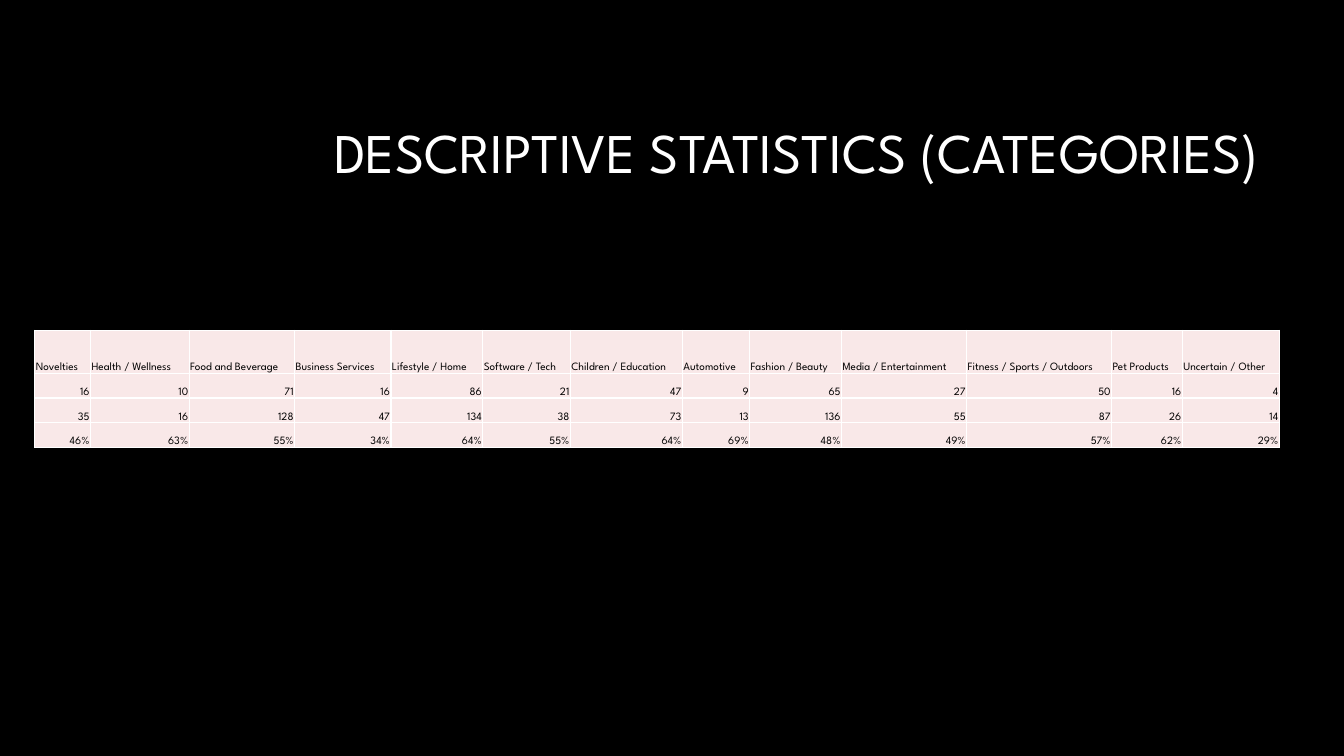
import pptx
import pptx.dml.color
import pptx.enum.text
import pptx.oxml
import pptx.oxml.ns
import pptx.util

Pt = pptx.util.Pt
Align = pptx.enum.text.PP_ALIGN
Anchor = pptx.enum.text.MSO_ANCHOR

TITLE = "DESCRIPTIVE STATISTICS (CATEGORIES)"
CATEGORIES = [
    ("Novelties", "16", "35", "46%", 39.8),
    ("Health / Wellness", "10", "16", "63%", 70.5),
    ("Food and Beverage", "71", "128", "55%", 75.3),
    ("Business Services", "16", "47", "34%", 68.8),
    ("Lifestyle / Home", "86", "134", "64%", 65.6),
    ("Software / Tech", "21", "38", "55%", 62.6),
    ("Children / Education", "47", "73", "64%", 80),
    ("Automotive", "9", "13", "69%", 48.1),
    ("Fashion / Beauty", "65", "136", "48%", 65.6),
    ("Media / Entertainment", "27", "55", "49%", 89.4),
    ("Fitness / Sports / Outdoors", "50", "87", "57%", 103.6),
    ("Pet Products", "16", "26", "62%", 50.5),
    ("Uncertain / Other", "4", "14", "29%", 69.2),
]
ROW_HEIGHTS = [30.7, 17.6, 17.6, 17.6]
TITLE_BOX = (228.2, 60.5, 678.2, 101.5)
TABLE_LEFT, TABLE_TOP = 24.9, 236

THEME = {
    "font": "League Spartan",
    "title_size": 40,
    "cell_size": 8,
    "background": "000000",
    "title": "FFFFFF",
    "cell_text": "000000",
    "cell_fill": "F9E8E8",
    "border": "FFFFFF",
}
CELL_FORMAT = {
    "vertical_anchor": Anchor.BOTTOM,
    "margin_left": Pt(0.7),
    "margin_right": Pt(0.7),
    "margin_top": Pt(0.7),
    "margin_bottom": Pt(0),
}
TITLE_FORMAT = {
    "word_wrap": True,
    "auto_size": pptx.enum.text.MSO_AUTO_SIZE.NONE,
    "vertical_anchor": Anchor.MIDDLE,
}


def apply_format(target, values):
    for name, value in values.items():
        setattr(target, name, value)


def paint(fill, role):
    fill.solid()
    fill.fore_color.rgb = pptx.dml.color.RGBColor.from_string(THEME[role])


def write(paragraph, text, size, role, alignment):
    paragraph.alignment = alignment
    run = paragraph.add_run()
    run.text = text
    apply_format(run.font, {"name": THEME["font"], "size": Pt(THEME[size]), "bold": False})
    paint(run.font.fill, role)


def add_borders(cell):
    properties = cell._tc.get_or_add_tcPr()
    for position, side in enumerate(("lnL", "lnR", "lnT", "lnB")):
        border = pptx.oxml.parse_xml(
            f'<a:{side} {pptx.oxml.ns.nsdecls("a")} w="{Pt(1)}"><a:solidFill>'
            f'<a:srgbClr val="{THEME["border"]}"/></a:solidFill></a:{side}>'
        )
        properties.insert(position, border)


def add_title(slide):
    title = slide.shapes.title
    left, top, width, height = map(Pt, TITLE_BOX)
    apply_format(title, {"left": left, "top": top, "width": width, "height": height})
    apply_format(title.text_frame, TITLE_FORMAT)
    paragraph = title.text_frame.paragraphs[0]
    paragraph.line_spacing = 0.9
    write(paragraph, TITLE, "title_size", "title", Align.RIGHT)


def add_category_table(slide):
    widths = [category[-1] for category in CATEGORIES]
    table = slide.shapes.add_table(
        len(ROW_HEIGHTS), len(CATEGORIES),
        Pt(TABLE_LEFT), Pt(TABLE_TOP), Pt(sum(widths)), Pt(sum(ROW_HEIGHTS)),
    ).table
    apply_format(table, {"first_row": False, "horz_banding": False})
    for row, height in zip(table.rows, ROW_HEIGHTS):
        row.height = Pt(height)
    for column_index, (*texts, width) in enumerate(CATEGORIES):
        table.columns[column_index].width = Pt(width)
        for row_index, text in enumerate(texts):
            cell = table.cell(row_index, column_index)
            apply_format(cell, CELL_FORMAT)
            paint(cell.fill, "cell_fill")
            add_borders(cell)
            alignment = Align.RIGHT if row_index else Align.LEFT
            write(cell.text_frame.paragraphs[0], text, "cell_size", "cell_text", alignment)


def main():
    presentation = pptx.Presentation()
    apply_format(presentation, {"slide_width": Pt(960), "slide_height": Pt(540)})
    slide = presentation.slides.add_slide(presentation.slide_layouts[5])
    paint(slide.background.fill, "background")
    add_title(slide)
    add_category_table(slide)
    presentation.save("out.pptx")


if __name__ == "__main__":
    main()
